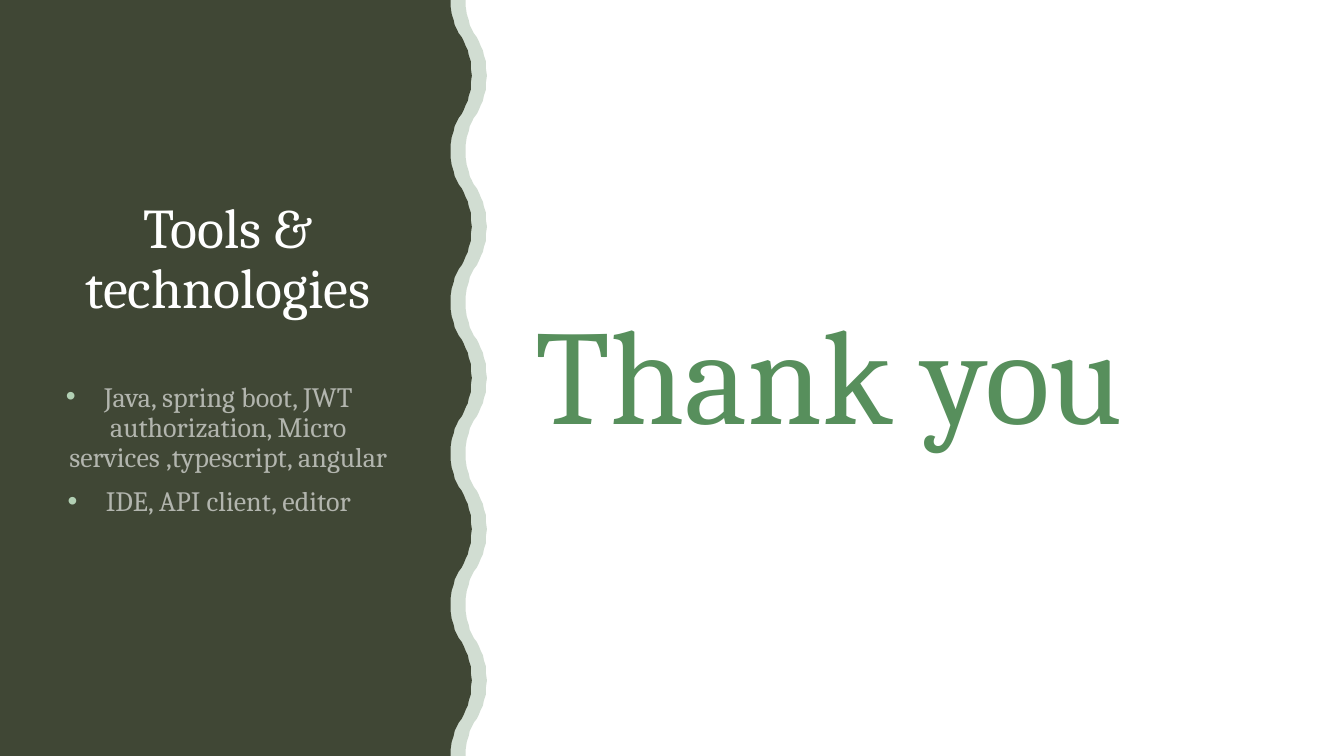
import lxml.etree
import pptx
import pptx.dml.color
import pptx.enum.shapes
import pptx.enum.text
import pptx.oxml.ns
import pptx.util

Inches = pptx.util.Inches
Pt = pptx.util.Pt
Align = pptx.enum.text.PP_ALIGN
Anchor = pptx.enum.text.MSO_ANCHOR

WIDTH, HEIGHT = 13.33, 7.5
FONT = "Cambria"
WHITE, BROWN, GREEN = "FFFFFF", "3D372E", "49784C"
BULLET_GREEN, THANKS_GREEN = "B2D0B4", "578F5C"

# Half a wave, from trough to crest: (x, y) offsets in inches
WAVE_COUNT = 5
HALF_WAVE = [
    (0, 0), (0, 0.07), (0.01, 0.14), (0.03, 0.2), (0.04, 0.25),
    (0.06, 0.29), (0.08, 0.33), (0.11, 0.37), (0.13, 0.41), (0.15, 0.46),
    (0.17, 0.5), (0.18, 0.55), (0.2, 0.61), (0.2, 0.68), (0.21, 0.75),
]


def set_color(color_format, color, alpha=None):
    """Set a solid colour, with an optional opacity in percent."""
    color_format.rgb = pptx.dml.color.RGBColor.from_string(color)
    if alpha is not None:
        element = color_format._xFill.find(pptx.oxml.ns.qn("a:srgbClr"))
        lxml.etree.SubElement(element, pptx.oxml.ns.qn("a:alpha"), val=str(alpha * 1000))


def set_attributes(target, values):
    for name, value in values.items():
        setattr(target, name, value)


def paint(shape, color, alpha=None):
    shape.shadow.inherit = False
    shape.fill.solid()
    set_color(shape.fill.fore_color, color, alpha)
    shape.line.fill.background()


def add_backdrop(slide, color):
    shape = slide.shapes.add_shape(
        pptx.enum.shapes.MSO_SHAPE.RECTANGLE, 0, 0, Inches(WIDTH), Inches(HEIGHT))
    paint(shape, color)


def add_wavy_panel(slide, trough, color, alpha=None):
    """Panel on the left edge whose right side is a row of equal waves."""
    period = HEIGHT / WAVE_COUNT
    one_wave = HALF_WAVE + [(x, period - y) for x, y in reversed(HALF_WAVE[:-1])]
    edge = [(Inches(trough + x), Inches(wave * period + y))
            for wave in range(WAVE_COUNT) for x, y in one_wave]
    builder = slide.shapes.build_freeform(0, 0)
    builder.add_line_segments(edge + [(0, Inches(HEIGHT))], close=True)
    paint(builder.convert_to_shape(), color, alpha)


def add_bullet(paragraph, color, indent):
    properties = paragraph._p.get_or_add_pPr()
    properties.set("marL", str(Inches(indent)))
    properties.set("indent", str(-Inches(indent)))
    bullet_color = lxml.etree.SubElement(properties, pptx.oxml.ns.qn("a:buClr"))
    lxml.etree.SubElement(bullet_color, pptx.oxml.ns.qn("a:srgbClr"), val=color)
    lxml.etree.SubElement(properties, pptx.oxml.ns.qn("a:buFont"), typeface="Arial")
    lxml.etree.SubElement(properties, pptx.oxml.ns.qn("a:buChar"), char="•")


def add_text(slide, box, lines, size, color, alpha=None, anchor=Anchor.TOP,
             align=Align.LEFT, space_before=0, bullet=None):
    shape = slide.shapes.add_textbox(*(Inches(length) for length in box))
    frame = shape.text_frame
    set_attributes(frame, {"word_wrap": True, "vertical_anchor": anchor})
    for index, line in enumerate(lines):
        paragraph = frame.add_paragraph() if index else frame.paragraphs[0]
        set_attributes(paragraph, {
            "alignment": align, "line_spacing": 0.9, "space_before": Pt(space_before)})
        if bullet:
            add_bullet(paragraph, bullet, 0.38)
        run = paragraph.add_run()
        run.text = line
        set_attributes(run.font, {"name": FONT, "size": Pt(size)})
        run.font.fill.solid()
        set_color(run.font.fill.fore_color, color, alpha)


def main():
    presentation = pptx.Presentation()
    set_attributes(presentation, {
        "slide_width": Inches(WIDTH), "slide_height": Inches(HEIGHT)})
    slide = presentation.slides.add_slide(presentation.slide_layouts[6])

    # Background and wavy panels
    add_backdrop(slide, WHITE)
    add_wavy_panel(slide, 4.47, BROWN)
    add_wavy_panel(slide, 4.62, GREEN, alpha=25)

    # Left side: title and tool list
    add_text(slide, (0.5, 0.52, 3.52, 2.71), ["Tools & technologies"], 40, WHITE,
             anchor=Anchor.BOTTOM, align=Align.CENTER)
    tools = ["Java, spring boot, JWT authorization, Micro services ,typescript, angular",
             "IDE, API client, editor"]
    add_text(slide, (0, 3.75, 4.15, 2.97), tools, 20, WHITE, alpha=60,
             align=Align.CENTER, space_before=10, bullet=BULLET_GREEN)

    # Right side: closing words
    add_text(slide, (5.21, 3.01, 7.74, 2.34), ["Thank you"], 96, THANKS_GREEN,
             space_before=18)

    presentation.save("out.pptx")


if __name__ == "__main__":
    main()
